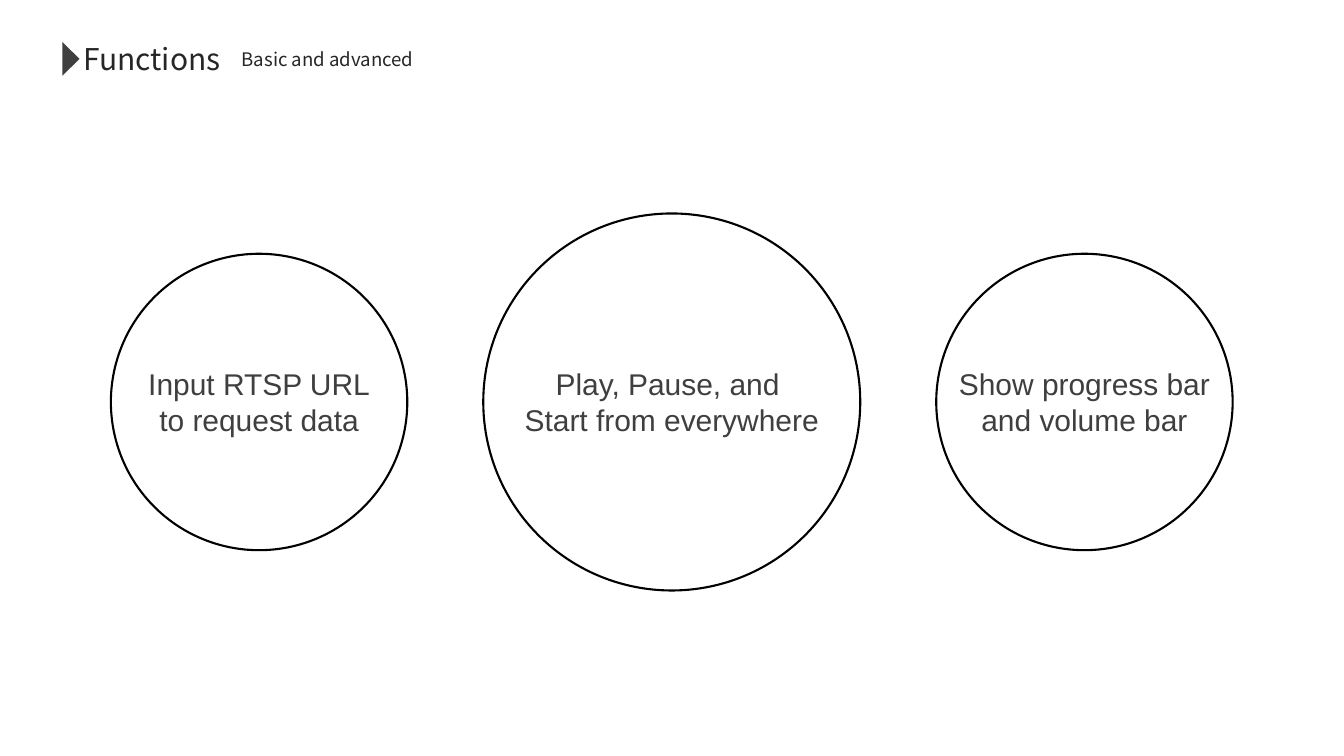
from pptx import Presentation
from pptx.dml.color import RGBColor
from pptx.enum.shapes import MSO_SHAPE
from pptx.enum.text import MSO_ANCHOR, MSO_AUTO_SIZE, PP_ALIGN
from pptx.util import Cm, Pt

OVAL, TRIANGLE = MSO_SHAPE.OVAL, MSO_SHAPE.ISOSCELES_TRIANGLE
MIDDLE, NO_FIT = MSO_ANCHOR.MIDDLE, MSO_AUTO_SIZE.NONE
LEFT, CENTER = PP_ALIGN.LEFT, PP_ALIGN.CENTER
BLACK = RGBColor(0x00, 0x00, 0x00)
GREY = RGBColor(0x3F, 0x3F, 0x3F)
DARK = RGBColor(0x26, 0x26, 0x26)
HEAD_FONT, BODY_FONT = "Noto Sans CJK SC", "Arial"


def write(sp, lines, font, size, color, align):
    tf = sp.text_frame
    tf.auto_size = NO_FIT
    tf.word_wrap = False
    tf.vertical_anchor = MIDDLE
    for i, line in enumerate(lines):
        p = tf.add_paragraph() if i else tf.paragraphs[0]
        p.alignment = align
        r = p.add_run()
        r.text = line
        r.font.name = font
        r.font.size = Pt(size)
        r.font.color.rgb = color


prs = Presentation()
prs.slide_width, prs.slide_height = Cm(33.87), Cm(19.05)
s = prs.slides.add_slide(prs.slide_layouts[5])

title = s.shapes.title
title.left, title.top, title.width, title.height = Cm(1.85), Cm(0.89), Cm(3.99), Cm(1.17)
write(title, ["Functions"], HEAD_FONT, 21.4, DARK, LEFT)

marker = s.shapes.add_shape(TRIANGLE, Cm(1.37), Cm(1.27), Cm(0.84), Cm(0.43))
marker.rotation = 90
marker.shadow.inherit = False
marker.fill.solid()
marker.fill.fore_color.rgb = GREY
marker.line.fill.background()

subtitle = s.shapes.add_textbox(Cm(5.84), Cm(1.07), Cm(4.95), Cm(0.84))
write(subtitle, ["Basic and advanced"], HEAD_FONT, 13.3, DARK, LEFT)

functions = [
    (7.47, ["Input RTSP URL", "to request data"]),
    (9.5, ["Play, Pause, and ", "Start from everywhere"]),
    (7.47, ["Show progress bar", "and volume bar"]),
]
first_x, center_y, pitch = 6.53, 10.13, 10.4
for i, (size, lines) in enumerate(functions):
    x = first_x + i * pitch - size / 2
    circle = s.shapes.add_shape(OVAL, Cm(x), Cm(center_y - size / 2), Cm(size), Cm(size))
    circle.shadow.inherit = False
    circle.fill.background()
    circle.line.color.rgb = BLACK
    circle.line.width = Pt(1.5)
    write(circle, lines, BODY_FONT, 21.4, GREY, CENTER)

prs.save("out.pptx")
